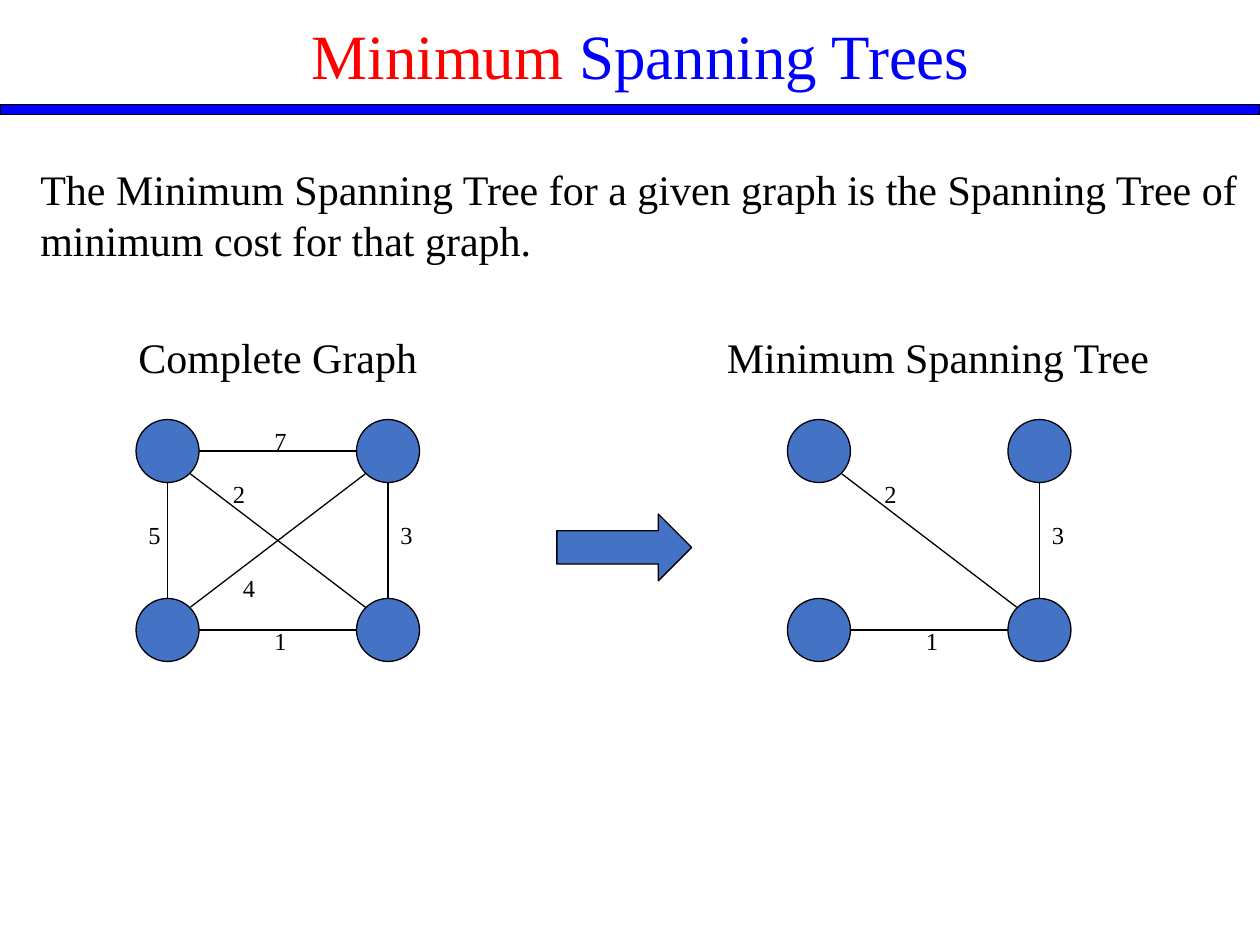
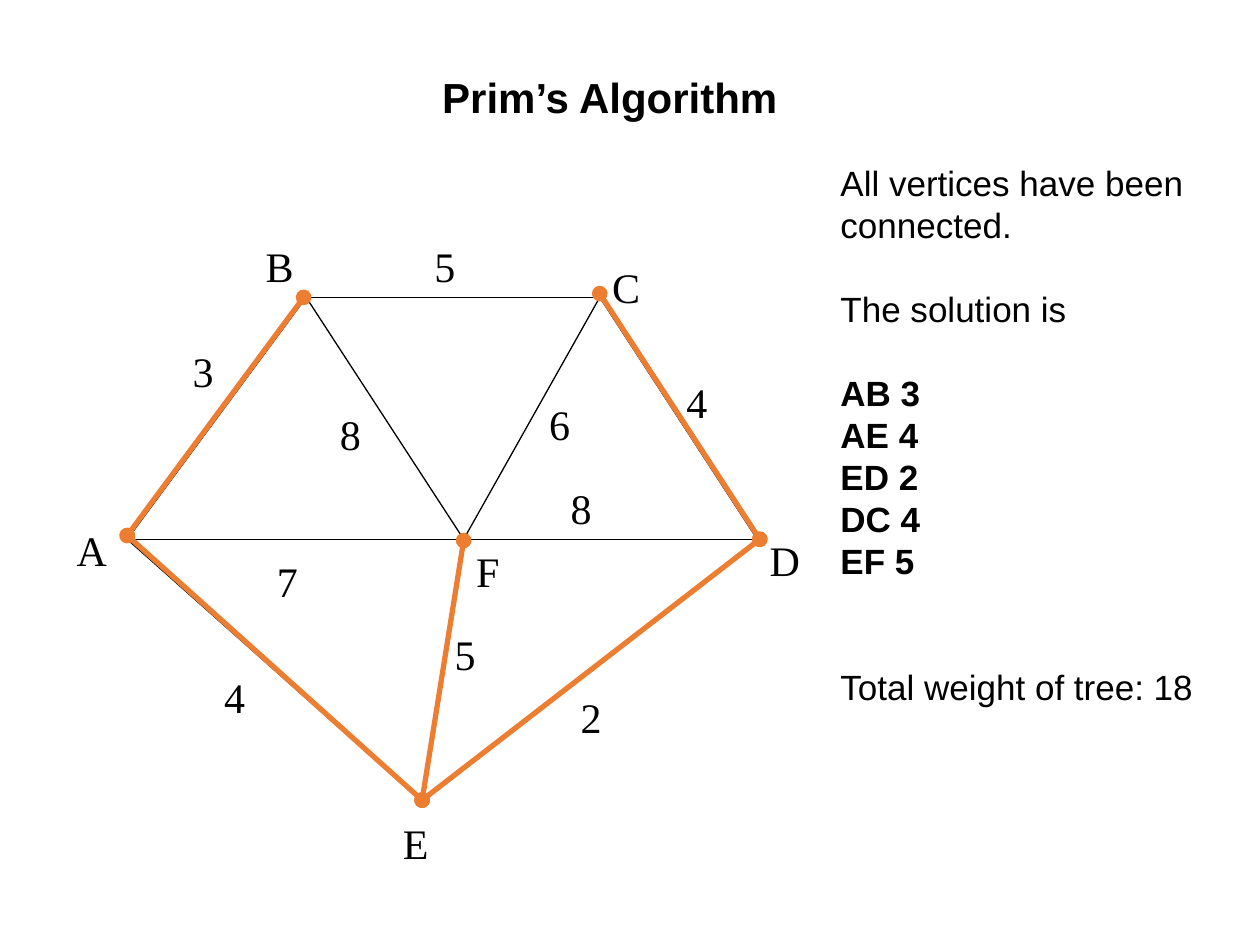
"""Build two slides on minimum spanning trees and Prim's algorithm."""
from dataclasses import dataclass
from typing import Any

from lxml import etree
from pptx import Presentation
from pptx import util as u
from pptx.dml.color import RGBColor
from pptx.enum import shapes as es, text as et
from pptx.oxml.ns import qn

BLACK = RGBColor(0x00, 0x00, 0x00)
RED = RGBColor(0xFF, 0x00, 0x00)
BLUE = RGBColor(0x00, 0x00, 0xFF)
STEEL = RGBColor(0x44, 0x72, 0xC4)
ORANGE = RGBColor(0xED, 0x7D, 0x31)

SERIF = "Times New Roman"
SANS = "Arial"
HEAD = {"name": SERIF, "size": u.Pt(36)}
TEXT = {"name": SERIF, "size": u.Pt(24)}
SMALL = {"name": SERIF, "size": u.Pt(14)}
TOPIC = {"name": SANS, "size": u.Pt(24), "bold": True}
NOTE = {"name": SANS, "size": u.Pt(20), "bold": False}
STRONG = {**NOTE, "bold": True}

NODE = 0.5
STEP_X, STEP_Y = 1.75, 1.42
TOP = 3.33

Point = tuple[float, float]
Box = tuple[float, float, float, float]


@dataclass(frozen=True)
class Run:
    """A piece of text with its format."""
    text: str
    form: dict[str, Any]
    color: RGBColor = BLACK


@dataclass(frozen=True)
class Line:
    """A paragraph and the points of space above it."""
    runs: tuple[Run, ...]
    gap: float = 0


@dataclass(frozen=True)
class Edge:
    """A weighted edge between grid cells, with its label's offset."""
    start: tuple[int, int]
    end: tuple[int, int]
    cost: str
    label: Point


@dataclass(frozen=True)
class Label:
    """A letter or weight and the top left of its box."""
    text: str
    left: float
    top: float


SIDES = [
    Edge((0, 0), (1, 1), "2", (0.67, 0.42)),
    Edge((0, 1), (1, 1), "1", (1, 1.59)),
    Edge((1, 0), (1, 1), "3", (2, 0.75)),
    Edge((0, 0), (1, 0), "7", (1, 0)),
    Edge((0, 0), (0, 1), "5", (0, 0.75)),
    Edge((1, 0), (0, 1), "4", (0.75, 1.17)),
]
TREE = SIDES[:3]

POINTS: dict[str, Point] = {
    "A": (1.01, 4.28), "B": (2.43, 2.36), "C": (4.76, 2.36),
    "D": (6.01, 4.28), "E": (3.35, 6.36), "F": (3.68, 4.28),
}
DOTS: dict[str, Point] = {
    "A": (1.01, 4.25), "B": (2.41, 2.36), "C": (4.76, 2.33),
    "D": (6.03, 4.28), "E": (3.35, 6.35), "F": (3.68, 4.29),
}
LINKS = ["AB", "BC", "CD", "AF", "FD", "BF", "FC", "AE", "EF", "ED"]
CHOSEN = ["AB", "AE", "ED", "DC", "EF"]
LABELS = [
    Label("A", 0.51, 4.11), Label("F", 3.68, 4.28), Label("B", 2.01, 1.86),
    Label("C", 4.76, 2.03), Label("D", 6.01, 4.19), Label("E", 3.1, 6.44),
    Label("2", 4.51, 5.44), Label("7", 2.1, 4.36), Label("4", 1.68, 5.28),
    Label("5", 3.51, 4.94), Label("8", 2.6, 3.19), Label("6", 4.26, 3.11),
    Label("4", 5.35, 2.94), Label("5", 3.35, 1.86), Label("3", 1.43, 2.69),
    Label("8", 4.43, 3.78),
]


def assign(obj: Any, form: dict[str, Any]) -> None:
    """Set each named attribute of an object."""
    for key, value in form.items():
        setattr(obj, key, value)


def place(shape: Any, box: Box) -> None:
    """Move and size a shape, in inches."""
    keys = ("left", "top", "width", "height")
    assign(shape, dict(zip(keys, map(u.Inches, box))))


def write(shape: Any, lines: list[Line], align: Any = et.PP_ALIGN.LEFT,
          wrap: bool = True) -> None:
    """Fill a shape with plain, unbulleted paragraphs."""
    frame = shape.text_frame
    assign(frame, {"word_wrap": wrap, "auto_size": et.MSO_AUTO_SIZE.NONE,
                   "vertical_anchor": et.MSO_ANCHOR.TOP})
    for i, line in enumerate(lines):
        para = frame.add_paragraph() if i else frame.paragraphs[0]
        props = para._p.get_or_add_pPr()
        props.set("marL", "0")
        props.set("indent", "0")
        etree.SubElement(props, qn("a:buNone"))
        assign(para, {"alignment": align, "space_before": u.Pt(line.gap)})
        for item in line.runs:
            run = para.add_run()
            run.text = item.text
            assign(run.font, item.form)
            run.font.color.rgb = item.color


def title(slide: Any, box: Box, *runs: Run) -> None:
    """Set the slide's centred title."""
    place(slide.shapes.title, box)
    write(slide.shapes.title, [Line(runs)], et.PP_ALIGN.CENTER)


def body(slide: Any, box: Box, lines: list[Line]) -> None:
    """Set the slide's body text."""
    place(slide.placeholders[1], box)
    write(slide.placeholders[1], lines)


def label(slide: Any, text: str, box: Box, form: dict[str, Any],
          wrap: bool = False) -> None:
    """Add a text box of one line."""
    shape = slide.shapes.add_textbox(*map(u.Inches, box))
    write(shape, [Line((Run(text, form),))], wrap=wrap)


def solid(slide: Any, kind: Any, box: Box, color: RGBColor) -> Any:
    """Add a filled shape with a thin black outline."""
    shape = slide.shapes.add_shape(kind, *map(u.Inches, box))
    shape.shadow.inherit = False
    shape.fill.solid()
    shape.fill.fore_color.rgb = color
    shape.line.color.rgb = BLACK
    shape.line.width = u.Pt(0.75)
    return shape


def link(slide: Any, start: Point, end: Point, color: RGBColor = BLACK,
         width: float = 0.75, dots: bool = False) -> None:
    """Draw a straight line, with round ends if asked."""
    line = slide.shapes.add_connector(
        es.MSO_CONNECTOR.STRAIGHT, *map(u.Inches, (*start, *end)))
    line.line.color.rgb = color
    line.line.width = u.Pt(width)
    props = line._element.spPr
    if dots:
        for tag in ("a:headEnd", "a:tailEnd"):
            etree.SubElement(props.find(qn("a:ln")), qn(tag), type="oval")
    etree.SubElement(props, qn("a:effectLst"))


def sign(value: int) -> int:
    """Return -1, 0 or 1."""
    return (value > 0) - (value < 0)


def graph(slide: Any, left: float, edges: list[Edge]) -> None:
    """Draw four nodes in a square and the edges between them."""
    for row in range(2):
        for col in range(2):
            box = (left + col * STEP_X, TOP + row * STEP_Y, NODE, NODE)
            solid(slide, es.MSO_SHAPE.OVAL, box, STEEL)
    for edge in edges:
        (c1, r1), (c2, r2) = edge.start, edge.end
        dx, dy = sign(c2 - c1), sign(r2 - r1)
        reach = 0.18 if dx and dy else NODE / 2
        x, y = left + NODE / 2, TOP + NODE / 2
        link(slide,
             (x + c1 * STEP_X + dx * reach, y + r1 * STEP_Y + dy * reach),
             (x + c2 * STEP_X - dx * reach, y + r2 * STEP_Y - dy * reach))
    for edge in edges:
        x, y = edge.label
        label(slide, edge.cost, (left + x, TOP + y, 0.3, 0.33), SMALL)


def spanning(slide: Any) -> None:
    """Compare a complete graph with its minimum spanning tree."""
    solid(slide, es.MSO_SHAPE.RECTANGLE, (0, 0.83, 10, 0.08), BLUE)
    title(slide, (2.17, 0.08, 5.83, 0.7), Run("Minimum", HEAD, RED),
          Run(" Spanning Trees", HEAD, BLUE))
    body(slide, (0.22, 1.25, 9.78, 0.91), [Line((Run(
        "The Minimum Spanning Tree for a given graph is the Spanning Tree "
        "of minimum cost for that graph.", TEXT),))])
    graph(slide, 1.08, SIDES)
    graph(slide, 6.25, TREE)
    solid(slide, es.MSO_SHAPE.RIGHT_ARROW, (4.42, 4.08, 1.07, 0.53), STEEL)
    label(slide, "Complete Graph", (1, 2.58, 2.41, 0.5), TEXT)
    label(slide, "Minimum Spanning Tree", (5.67, 2.58, 3.57, 0.5), TEXT)


def prim(slide: Any) -> None:
    """Show the finished tree and its weight."""
    title(slide, (0.9, 0.52, 7.88, 0.5), Run("Prim’s Algorithm", TOPIC))
    for a, b in LINKS:
        link(slide, POINTS[a], POINTS[b])
    for item in LABELS:
        label(slide, item.text, (item.left, item.top, 0.5, 0.5), TEXT, True)
    rows = [
        ("All vertices have been", NOTE, 0), ("connected.", NOTE, 0),
        ("The solution is", NOTE, 24), ("AB 3", STRONG, 24),
        ("AE 4", STRONG, 0), ("ED 2", STRONG, 0), ("DC 4", STRONG, 0),
        ("EF 5", STRONG, 0), ("Total weight of tree: 18", NOTE, 48),
    ]
    body(slide, (6.57, 1.23, 3.15, 4.81),
         [Line((Run(text, form),), gap) for text, form, gap in rows])
    for a, b in CHOSEN:
        link(slide, DOTS[a], DOTS[b], ORANGE, 3, True)


def main() -> None:
    """Build and save the slides."""
    deck = Presentation()
    deck.slide_width, deck.slide_height = u.Inches(10), u.Inches(7.5)
    for draw in (spanning, prim):
        draw(deck.slides.add_slide(deck.slide_layouts[1]))
    deck.save("out.pptx")


if __name__ == "__main__":
    main()
